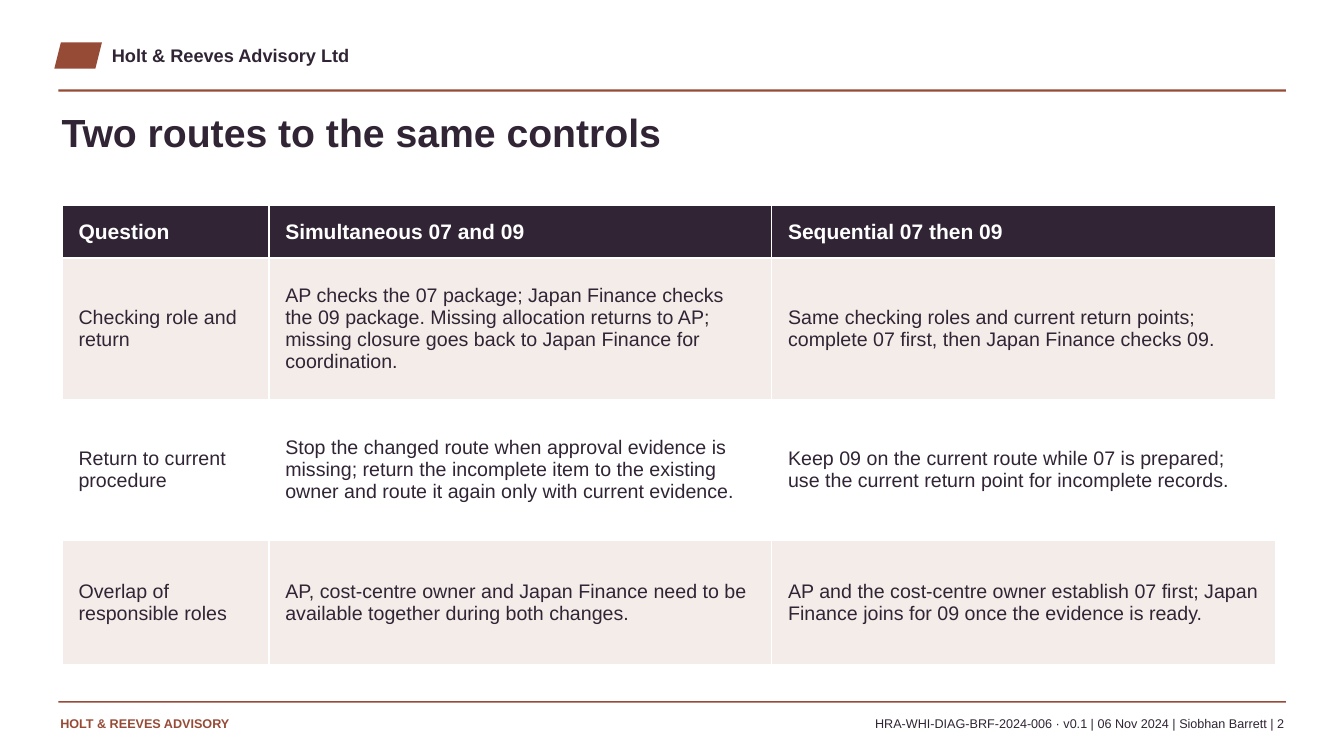
from collections import namedtuple

from pptx import Presentation
from pptx import util as u
from pptx.dml.color import RGBColor
from pptx.enum import shapes, text

Box = namedtuple("Box", "left top width height")
COLOURS = {"ink": "302435", "rust": "964B37", "blush": "F4ECE8", "white": "FFFFFF"}
FONT = "Arial"
COLUMN_WIDTHS = [5.21, 12.67, 12.7]
ROW_HEIGHTS = [1.32, 3.56, 3.56, 3.12]
ROUTES = [
    ["Question", "Simultaneous 07 and 09", "Sequential 07 then 09"],
    [
        "Checking role and return",
        "AP checks the 07 package; Japan Finance checks the 09 package. Missing allocation "
        "returns to AP; missing closure goes back to Japan Finance for coordination.",
        "Same checking roles and current return points; complete 07 first, then Japan Finance "
        "checks 09.",
    ],
    [
        "Return to current procedure",
        "Stop the changed route when approval evidence is missing; return the incomplete item "
        "to the existing owner and route it again only with current evidence.",
        "Keep 09 on the current route while 07 is prepared; use the current return point for "
        "incomplete records.",
    ],
    [
        "Overlap of responsible roles",
        "AP, cost-centre owner and Japan Finance need to be available together during both "
        "changes.",
        "AP and the cost-centre owner establish 07 first; Japan Finance joins for 09 once the "
        "evidence is ready.",
    ],
]


def colour(name):
    return RGBColor.from_string(COLOURS[name])


def lengths(box):
    return [u.Cm(value) for value in box]


def write(frame, words, size, ink="ink", bold=False, align=text.PP_ALIGN.LEFT):
    para = frame.paragraphs[0]
    para.alignment = align
    span = para.add_run()
    span.text = words
    span.font.name = FONT
    span.font.size = u.Pt(size)
    span.font.bold = bold
    span.font.color.rgb = colour(ink)


def prepare(frame):
    frame.margin_left = frame.margin_top = frame.margin_right = frame.margin_bottom = 0
    frame.vertical_anchor = text.MSO_ANCHOR.TOP
    frame.auto_size = text.MSO_AUTO_SIZE.NONE
    frame.word_wrap = True
    return frame


def add_label(page, box, words, size, **style):
    label = page.shapes.add_textbox(*lengths(box))
    write(prepare(label.text_frame), words, size, **style)


def add_block(page, kind, box, fill):
    block = page.shapes.add_shape(kind, *lengths(box))
    block.shadow.inherit = False
    block.fill.solid()
    block.fill.fore_color.rgb = colour(fill)
    block.line.fill.background()


def add_header(page, box):
    mark = Box(box.left - 0.1, box.top, 1.2, 0.66)
    add_block(page, shapes.MSO_SHAPE.PARALLELOGRAM, mark, "rust")
    name = Box(box.left + 1.35, box.top + 0.05, 15.24, 0.69)
    add_label(page, name, "Holt & Reeves Advisory Ltd", 13, bold=True)
    rule = Box(box.left, box.top + box.height - 0.06, box.width, 0.06)
    add_block(page, shapes.MSO_SHAPE.RECTANGLE, rule, "rust")


def add_title(page, box):
    title = page.shapes.title
    title.left, title.top, title.width, title.height = lengths(box)
    write(prepare(title.text_frame), "Two routes to the same controls", 28, bold=True)


def add_routes_table(page, box):
    table = page.shapes.add_table(len(ROUTES), len(ROUTES[0]), *lengths(box)).table
    for column, width in zip(table.columns, COLUMN_WIDTHS):
        column.width = u.Cm(width)
    for index, (row, height) in enumerate(zip(table.rows, ROW_HEIGHTS)):
        row.height = u.Cm(height)
        heading = index == 0
        fill = "ink" if heading else ("blush" if index % 2 else "white")
        for cell, words in zip(row.cells, ROUTES[index]):
            cell.fill.solid()
            cell.fill.fore_color.rgb = colour(fill)
            cell.vertical_anchor = text.MSO_ANCHOR.MIDDLE
            cell.margin_left = cell.margin_right = u.Cm(0.41)
            cell.margin_top = cell.margin_bottom = u.Cm(0.13)
            write(cell.text_frame, words, 15 if heading else 14,
                  ink="white" if heading else "ink", bold=heading)


def add_footer(page, box):
    rule = Box(box.left, box.top, box.width, 0.04)
    add_block(page, shapes.MSO_SHAPE.RECTANGLE, rule, "rust")
    line_top = box.top + 0.36
    owner = Box(box.left + 0.05, line_top, 8.64, 0.64)
    add_label(page, owner, "HOLT & REEVES ADVISORY", 9, ink="rust", bold=True)
    reference = Box(box.left + box.width - 21.95, line_top, 21.9, 0.64)
    add_label(page, reference,
              "HRA-WHI-DIAG-BRF-2024-006 · v0.1 | 06 Nov 2024 | Siobhan Barrett | 2",
              9, align=text.PP_ALIGN.RIGHT)


def main():
    deck = Presentation()
    deck.slide_width, deck.slide_height = u.Cm(33.87), u.Cm(19.05)
    page = deck.slides.add_slide(deck.slide_layouts[5])
    add_header(page, Box(1.47, 1.07, 30.94, 1.24))
    add_title(page, Box(1.55, 2.72, 30.48, 1.98))
    add_routes_table(page, Box(1.57, 5.18, sum(COLUMN_WIDTHS), sum(ROW_HEIGHTS)))
    add_footer(page, Box(1.47, 17.67, 30.94, 1))
    deck.save("out.pptx")


if __name__ == "__main__":
    main()
